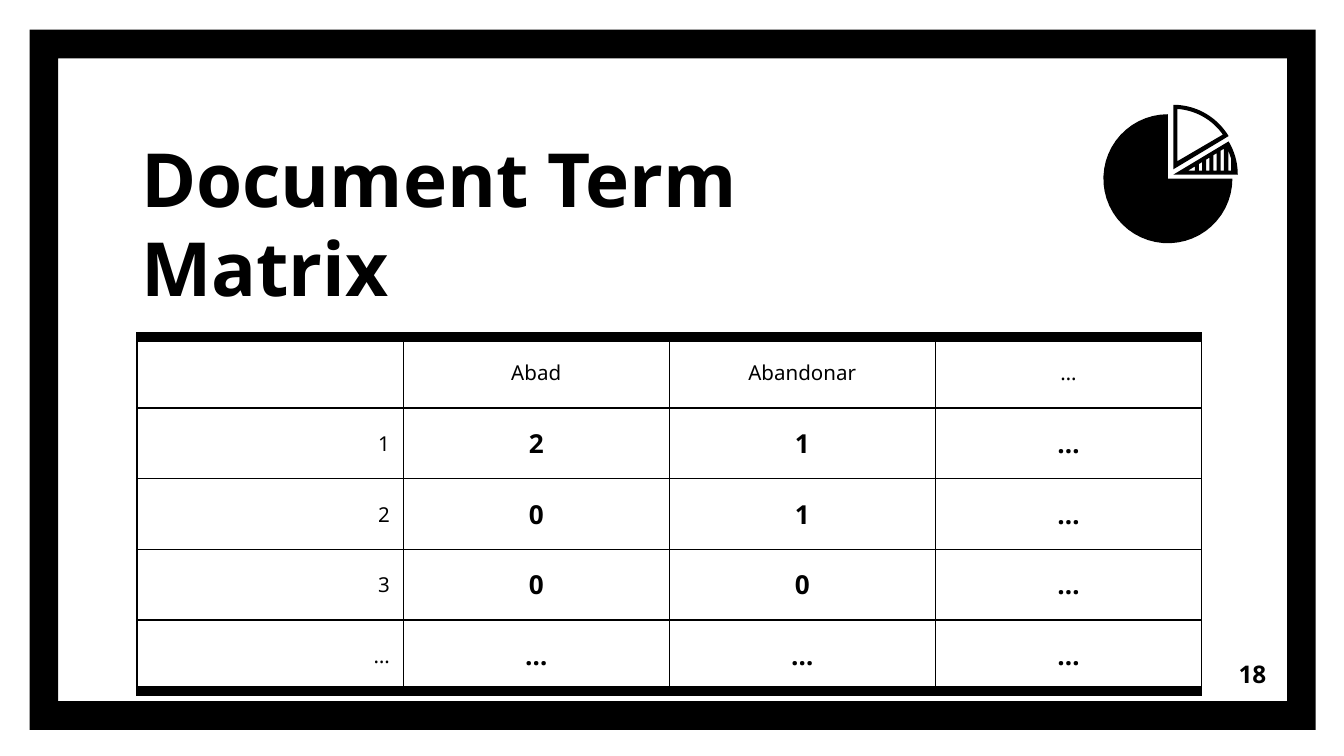
from collections import namedtuple
from math import cos, radians, sin

from lxml.etree import SubElement
from pptx import Presentation
from pptx.dml.color import RGBColor
from pptx.enum.shapes import MSO_SHAPE
from pptx.enum.text import MSO_ANCHOR, MSO_AUTO_SIZE, PP_ALIGN
from pptx.oxml.ns import qn
from pptx.util import Inches, Pt

COLORS = {"ink": "000000", "paper": "FFFFFF"}
FONT = "Noto Sans"
THIN, THICK = 0.75, 6
ROWS = [
    ["", "Abad", "Abandonar", "…"],
    ["1", "2", "1", "…"],
    ["2", "0", "1", "…"],
    ["3", "0", "0", "…"],
    ["…", "…", "…", "…"],
]

Box = namedtuple("Box", "left top width height")


def emu(box):
    return [Inches(v) for v in box]


def color(name):
    return RGBColor.from_string(COLORS[name])


def style_text(tf, size, bold, align):
    for p in tf.paragraphs:
        p.alignment = align
        for r in p.runs:
            r.font.name = FONT
            r.font.size = Pt(size)
            r.font.bold = bold
            r.font.color.rgb = color("ink")


def fill_ink(sp):
    sp.shadow.inherit = False
    sp.fill.solid()
    sp.fill.fore_color.rgb = color("ink")
    sp.line.fill.background()


def add_frame(slide, box):
    sp = slide.shapes.add_shape(MSO_SHAPE.FRAME, *emu(box))
    sp.adjustments[0] = 0.041
    fill_ink(sp)


def format_label(sp, box, text, size, align, anchor):
    sp.left, sp.top, sp.width, sp.height = emu(box)
    tf = sp.text_frame
    tf.text = text
    tf.word_wrap = True
    tf.auto_size = MSO_AUTO_SIZE.NONE
    tf.vertical_anchor = anchor
    tf.margin_left = tf.margin_right = Inches(0.1)
    tf.margin_top = tf.margin_bottom = Inches(0.1)
    style_text(tf, size, True, align)


def add_title(slide, box, text):
    format_label(slide.shapes.title, box, text, 40, PP_ALIGN.LEFT, MSO_ANCHOR.BOTTOM)


def add_page_number(slide, box, text):
    sp = slide.shapes.add_textbox(*emu(box))
    format_label(sp, box, text, 13, PP_ALIGN.RIGHT, MSO_ANCHOR.MIDDLE)


def set_borders(cell, top, bottom):
    """Draw all four borders; only top and bottom vary in weight."""
    tc_pr = cell._tc.get_or_add_tcPr()
    sides = {"lnL": THIN, "lnR": THIN, "lnT": top, "lnB": bottom}
    for i, (tag, weight) in enumerate(sides.items()):
        ln = SubElement(tc_pr, qn(f"a:{tag}"), w=str(Pt(weight)))
        fill = SubElement(ln, qn("a:solidFill"))
        SubElement(fill, qn("a:srgbClr"), val=COLORS["ink"])
        tc_pr.insert(i, ln)


def add_matrix(slide, box, rows):
    n_rows, n_cols = len(rows), len(rows[0])
    table = slide.shapes.add_table(n_rows, n_cols, *emu(box)).table
    table.first_row = table.horz_banding = False
    for row in table.rows:
        row.height = Inches(box.height / n_rows)
    for i, row in enumerate(rows):
        for j, text in enumerate(row):
            cell = table.cell(i, j)
            cell.text = text
            cell.vertical_anchor = MSO_ANCHOR.MIDDLE
            cell.margin_left = cell.margin_right = Inches(0.1)
            cell.margin_top = cell.margin_bottom = Inches(0.07)
            cell.fill.background()
            is_value = i > 0 and j > 0
            align = PP_ALIGN.RIGHT if i > 0 and j == 0 else PP_ALIGN.CENTER
            style_text(cell.text_frame, 14 if is_value else 11, is_value, align)
            set_borders(cell, THICK if i == 0 else THIN,
                        THICK if i == n_rows - 1 else THIN)


def arc(center, radius, start, end, steps=40):
    """Points on a circle, in degrees clockwise from three o'clock."""
    angles = [radians(start + (end - start) * i / steps) for i in range(steps + 1)]
    return [(center[0] + radius * cos(a), center[1] + radius * sin(a)) for a in angles]


def add_contours(slide, box, contours):
    """Fill closed contours, given in shares of the box width, as one shape."""
    scaled = [[(Inches(box.left + x * box.width), Inches(box.top + y * box.width))
               for x, y in points] for points in contours]
    builder = slide.shapes.build_freeform(*scaled[0][0])
    builder.add_line_segments(scaled[0][1:], close=True)
    for points in scaled[1:]:
        builder.move_to(*points[0])
        builder.add_line_segments(points[1:], close=True)
    fill_ink(builder.convert_to_shape())


def stripe_gaps():
    """Gaps between the stripes, under the slanted edge of the small slice."""
    bottom, tip = 0.49, 0.63

    def edge(x):
        return bottom - 0.61 * (x - tip)

    gaps = [[(tip, bottom), (0.68, edge(0.68)), (0.68, bottom)]]
    for i in range(4):
        left = 0.71 + 0.054 * i
        right = left + 0.025
        gaps.append([(left, bottom), (left, edge(left)), (right, edge(right)), (right, bottom)])
    gaps.append([(0.93, bottom), (0.93, 0.34), (0.94, 0.37), (0.95, 0.4), (0.95, bottom)])
    return gaps


def add_pie_icon(slide, box):
    radius, split = 0.48, -31
    main, striped, hollow = (0.48, 0.55), (0.52, 0.52), (0.52, 0.48)
    add_contours(slide, box, [[main] + arc(main, radius, 0, 270)])
    add_contours(slide, box, [[striped] + arc(striped, radius, split, 0)] + stripe_gaps())
    add_contours(slide, box, [
        [hollow] + arc(hollow, radius, -90, split),
        [(0.55, 0.42)] + arc(hollow, radius - 0.03, -86, -35),
    ])


def main():
    prs = Presentation()
    prs.slide_width = Inches(10)
    prs.slide_height = prs.slide_width * 9 // 16
    slide = prs.slides.add_slide(prs.slide_layouts[5])
    slide.background.fill.solid()
    slide.background.fill.fore_color.rgb = color("paper")
    add_frame(slide, Box(0.22, 0.22, 9.57, 5.21))
    add_title(slide, Box(0.95, 0.93, 5.57, 1.49), "Document Term Matrix")
    add_matrix(slide, Box(1.02, 2.51, 7.92, 2.63), ROWS)
    add_pie_icon(slide, Box(8.21, 0.78, 1, 1.04))
    add_page_number(slide, Box(8.92, 4.8, 0.6, 0.43), "18")
    prs.save("out.pptx")


if __name__ == "__main__":
    main()
